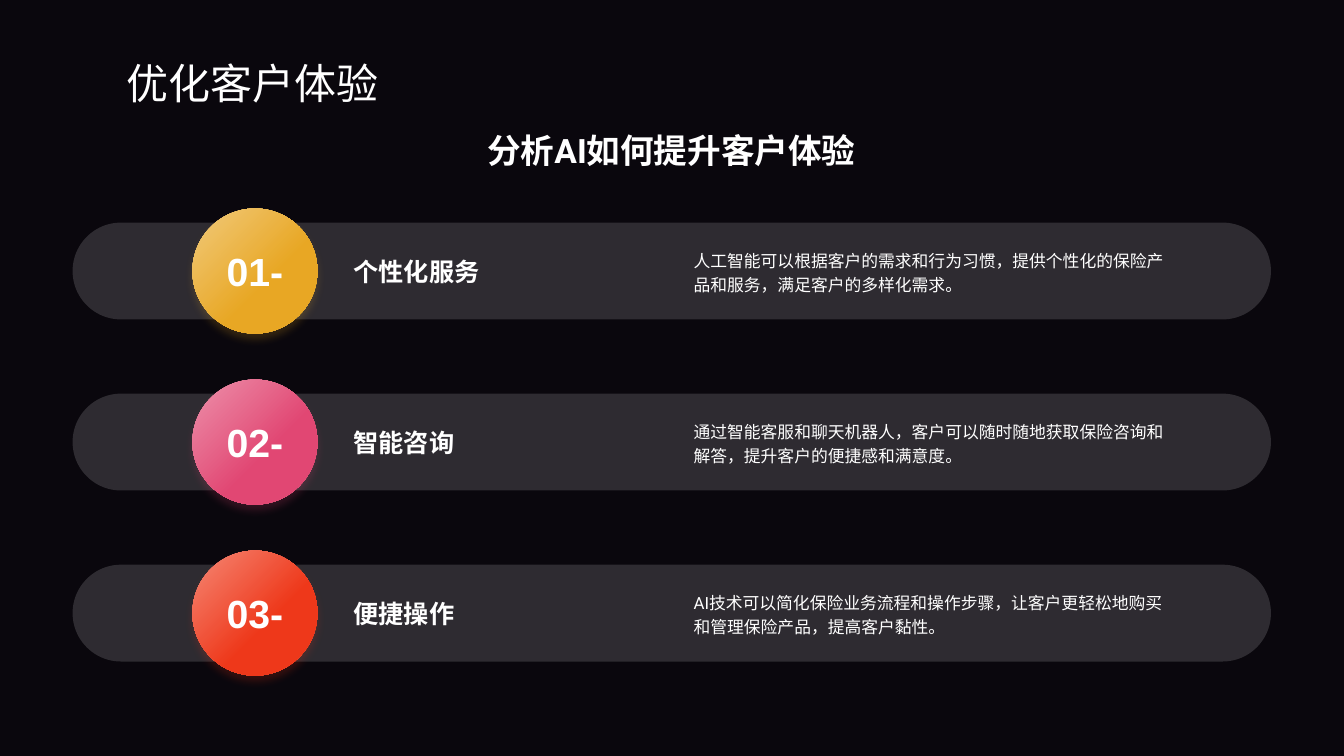
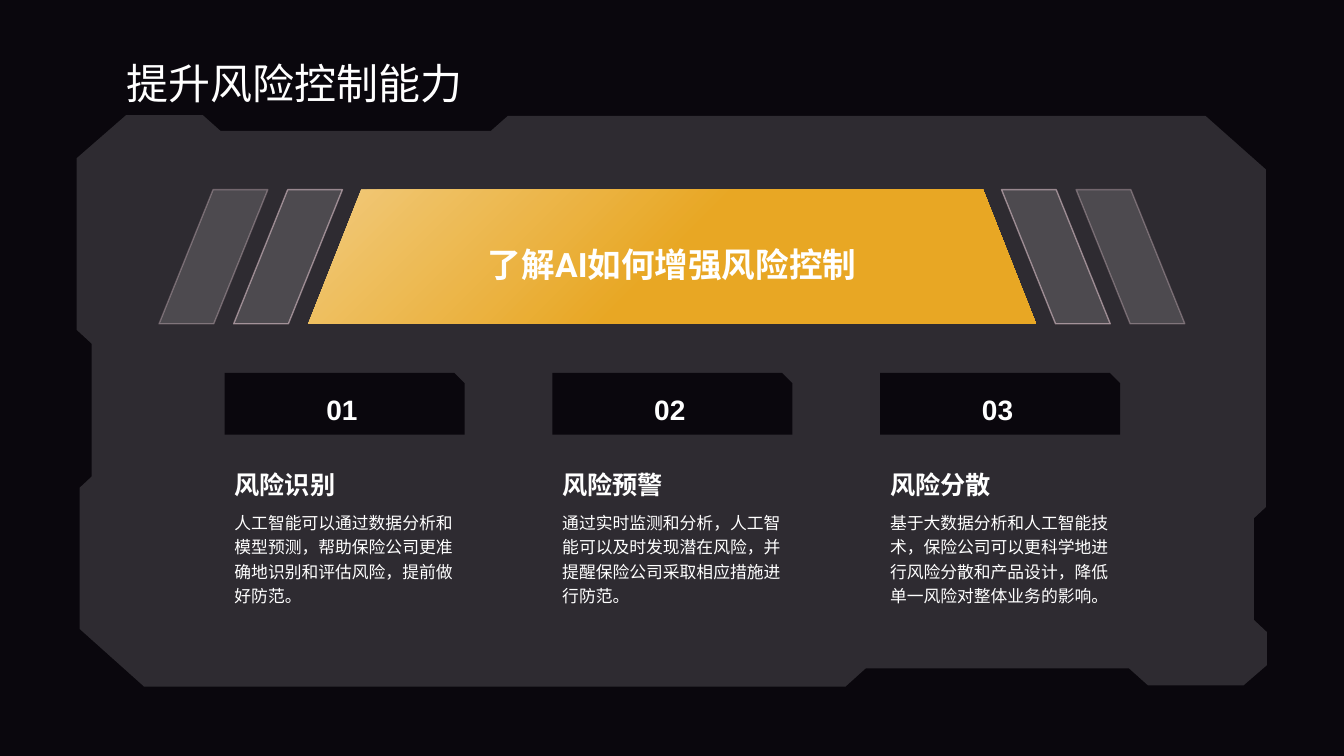
from pptx import Presentation
from pptx.dml.color import RGBColor
from pptx.enum.lang import MSO_LANGUAGE_ID
from pptx.enum.shapes import MSO_SHAPE
from pptx.enum.text import MSO_ANCHOR, PP_ALIGN
from pptx.oxml.ns import qn
from pptx.util import Cm, Pt
from lxml.etree import SubElement

NIGHT = RGBColor(0x0A, 0x07, 0x0D)
WHITE = RGBColor(0xFF, 0xFF, 0xFF)
BLUSH = RGBColor(0xF9, 0xDA, 0xE3)
AMBER = RGBColor(0xE8, 0xA7, 0x24)
AMBER_LIGHT = RGBColor(0xF1, 0xCA, 0x7C)
PINK = RGBColor(0xE1, 0x47, 0x73)
PINK_LIGHT = RGBColor(0xED, 0x91, 0xAB)
RED = RGBColor(0xEE, 0x38, 0x1A)
RED_LIGHT = RGBColor(0xF5, 0x88, 0x76)

TITLE_FONT = "Noto Sans CJK JP"
BODY_FONT = "Roboto"
NUMBER_FONT = "Arial"

SLIDE_WIDTH = 33.87
SLIDE_HEIGHT = 19.05
VEIL_ALPHA = 15

SERVICES = [
    ("01-", AMBER_LIGHT, AMBER, "个性化服务",
     "人工智能可以根据客户的需求和行为习惯，提供个性化的保险产品和服务，满足客户的多样化需求。"),
    ("02-", PINK_LIGHT, PINK, "智能咨询",
     "通过智能客服和聊天机器人，客户可以随时随地获取保险咨询和解答，提升客户的便捷感和满意度。"),
    ("03-", RED_LIGHT, RED, "便捷操作",
     "AI技术可以简化保险业务流程和操作步骤，让客户更轻松地购买和管理保险产品，提高客户黏性。"),
]

RISKS = [
    ("01", "风险识别",
     "人工智能可以通过数据分析和模型预测，帮助保险公司更准确地识别和评估风险，提前做好防范。"),
    ("02", "风险预警",
     "通过实时监测和分析，人工智能可以及时发现潜在风险，并提醒保险公司采取相应措施进行防范。"),
    ("03", "风险分散",
     "基于大数据分析和人工智能技术，保险公司可以更科学地进行风险分散和产品设计，降低单一风险对整体业务的影响。"),
]

PANEL_OUTLINE = [
    (3.18, 2.9), (5.11, 2.9), (5.56, 3.3), (12.37, 3.3), (12.8, 2.92),
    (30.38, 2.92), (31.9, 4.27), (31.9, 12.78), (31.6, 13.06),
    (31.6, 15.62), (31.93, 15.93), (31.93, 16.76), (31.34, 17.27),
    (28.93, 17.27), (28.45, 16.84), (21.82, 16.84), (21.31, 17.3),
    (3.63, 17.3), (2.01, 15.85), (2.01, 12.29), (2.31, 12.01),
    (2.31, 8.66), (1.93, 8.31), (1.93, 3.99),
]


def set_alpha(color_parent, percent):
    color = next(color_parent.iter(qn("a:srgbClr")))
    SubElement(color, qn("a:alpha"), val=str(percent * 1000))


def strip_style(shape):
    shape.shadow.inherit = False
    shape.line.fill.background()


def fill_solid(shape, color):
    shape.fill.solid()
    shape.fill.fore_color.rgb = color


def fill_veil(shape):
    fill_solid(shape, WHITE)
    set_alpha(shape.element.spPr.find(qn("a:solidFill")), VEIL_ALPHA)


def fill_gradient(shape, light, full, full_at):
    shape.fill.gradient()
    shape.fill.gradient_angle = 315
    for stop, color, position in zip(shape.fill.gradient_stops, (light, full), (0, full_at)):
        stop.color.rgb = color
        stop.position = position


def add_glow(shape, color):
    effects = shape.element.spPr.find(qn("a:effectLst"))
    glow = SubElement(effects, qn("a:outerShdw"), blurRad=str(Pt(6)), dist=str(Pt(4)),
                      dir="5400000", algn="t", rotWithShape="0")
    SubElement(glow, qn("a:srgbClr"), val=str(color))
    set_alpha(glow, 20)


def write(shape, text, size, font=BODY_FONT, bold=False, align=PP_ALIGN.LEFT,
          anchor=MSO_ANCHOR.MIDDLE, spacing=None, wrap=True):
    frame = shape.text_frame
    frame.word_wrap = wrap
    frame.vertical_anchor = anchor
    paragraph = frame.paragraphs[0]
    paragraph.alignment = align
    paragraph.line_spacing = spacing
    run = paragraph.add_run()
    run.text = text
    run.font.name = font
    run.font.size = Pt(size)
    run.font.bold = bold
    run.font.color.rgb = WHITE
    run.font.language_id = MSO_LANGUAGE_ID.SIMPLIFIED_CHINESE
    SubElement(run.font._element, qn("a:ea"), typeface=font)


def add_text(slide, box, text, size, **style):
    write(slide.shapes.add_textbox(*map(Cm, box)), text, size, **style)


def add_preset(slide, preset, box, adjustment=None):
    shape = slide.shapes.add_shape(preset, *map(Cm, box))
    strip_style(shape)
    if adjustment is not None:
        shape.adjustments[0] = adjustment
    return shape


def add_titled_slide(prs, title):
    slide = prs.slides.add_slide(prs.slide_layouts[6])
    add_text(slide, (2.95, 0.84, 28.22, 2), title, 30, font=TITLE_FONT, anchor=MSO_ANCHOR.BOTTOM)
    return slide


def add_service_row(slide, middle, number, light, full, heading, detail):
    bar_height, disc_size, text_height = 2.44, 3.15, 1.8
    bar = add_preset(slide, MSO_SHAPE.ROUNDED_RECTANGLE,
                     (1.83, middle - bar_height / 2, 30.2, bar_height), 0.5)
    fill_veil(bar)
    disc = add_preset(slide, MSO_SHAPE.OVAL, (4.85, middle - disc_size / 2, disc_size, disc_size))
    fill_gradient(disc, light, full, 0.6)
    add_glow(disc, full)
    write(disc, number, 28, font=NUMBER_FONT, bold=True, align=PP_ALIGN.CENTER)
    text_top = middle - text_height / 2
    add_text(slide, (8.66, text_top, 7.21, text_height), heading, 18, bold=True)
    add_text(slide, (17.23, text_top, 12.42, text_height), detail, 12, spacing=1.2)


def add_panel(slide):
    points = [(Cm(x), Cm(y)) for x, y in PANEL_OUTLINE]
    builder = slide.shapes.build_freeform(*points[0])
    builder.add_line_segments(points[1:], close=True)
    panel = builder.convert_to_shape()
    strip_style(panel)
    fill_veil(panel)


def add_stripe(slide, left, line_alpha, mirrored):
    width = 2.74
    if mirrored:
        left = SLIDE_WIDTH - left - width
    stripe = add_preset(slide, MSO_SHAPE.PARALLELOGRAM, (left, 4.78, width, 3.38), 0.497)
    fill_veil(stripe)
    stripe.line.color.rgb = BLUSH
    stripe.line.width = Pt(1)
    set_alpha(stripe.element.spPr.find(qn("a:ln")), line_alpha)
    if mirrored:
        stripe.element.spPr.xfrm.set("flipV", "1")


def add_banner(slide, text):
    banner = add_preset(slide, MSO_SHAPE.TRAPEZOID, (7.77, 4.78, 18.34, 3.38), 0.395)
    fill_gradient(banner, AMBER_LIGHT, AMBER, 0.5)
    write(banner, text, 24, bold=True, align=PP_ALIGN.CENTER, spacing=1.2, wrap=False)
    for mirrored in (True, False):
        add_stripe(slide, 5.89, 50, mirrored)
        add_stripe(slide, 4.01, 30, mirrored)


def add_risk_column(slide, left, number, heading, detail):
    width = 6.05
    tab = add_preset(slide, MSO_SHAPE.SNIP_1_RECTANGLE, (left, 9.4, width, 1.55))
    fill_solid(tab, NIGHT)
    write(tab, number, 20, font=NUMBER_FONT, bold=True, align=PP_ALIGN.CENTER,
          spacing=1.2, wrap=False)
    add_text(slide, (left, 12.7, width, 2.95), detail, 12, anchor=MSO_ANCHOR.TOP, spacing=1.2)
    add_text(slide, (left, 11.4, width, 1.32), heading, 18, bold=True,
             anchor=MSO_ANCHOR.BOTTOM, spacing=1.2)


def build_experience_slide(prs):
    slide = add_titled_slide(prs, "优化客户体验")
    add_text(slide, (1.83, 3.15, 30.18, 1.9), "分析AI如何提升客户体验", 24, bold=True,
             align=PP_ALIGN.CENTER, anchor=MSO_ANCHOR.TOP)
    for index, service in enumerate(SERVICES):
        add_service_row(slide, 6.83 + 4.31 * index, *service)


def build_risk_slide(prs):
    slide = add_titled_slide(prs, "提升风险控制能力")
    add_panel(slide)
    add_banner(slide, "了解AI如何增强风险控制")
    for index, risk in enumerate(RISKS):
        add_risk_column(slide, 5.66 + 8.26 * index, *risk)


def main():
    prs = Presentation()
    prs.slide_width = Cm(SLIDE_WIDTH)
    prs.slide_height = Cm(SLIDE_HEIGHT)
    fill_solid_background = prs.slide_master.background.fill
    fill_solid_background.solid()
    fill_solid_background.fore_color.rgb = NIGHT
    build_experience_slide(prs)
    build_risk_slide(prs)
    prs.save("out.pptx")


if __name__ == "__main__":
    main()
